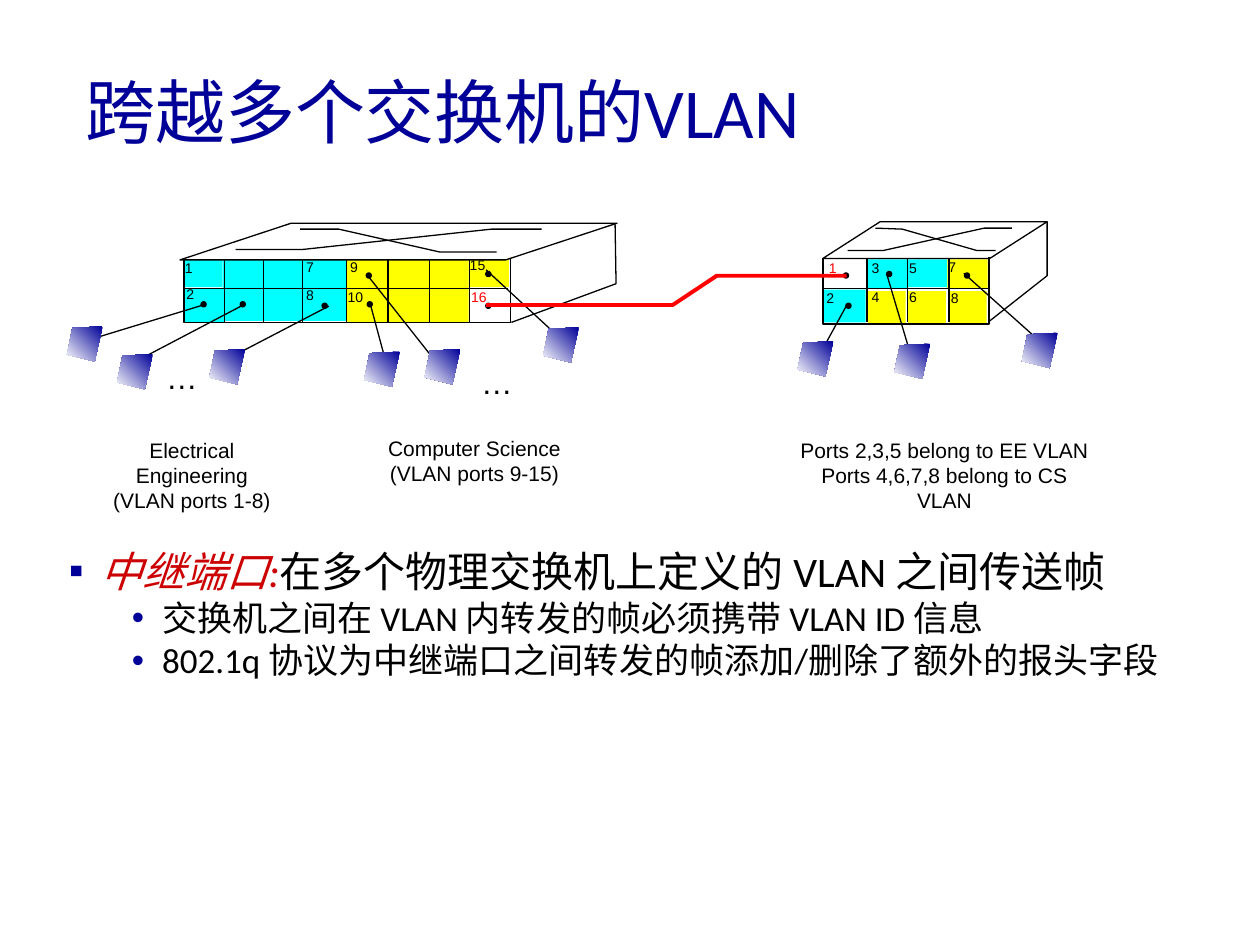
from lxml import etree
from pptx import Presentation
from pptx.dml.color import RGBColor
from pptx.enum.shapes import MSO_CONNECTOR, MSO_SHAPE
from pptx.enum.text import MSO_ANCHOR, MSO_AUTO_SIZE, PP_ALIGN
from pptx.oxml.ns import qn
from pptx.util import Cm, Pt

RECTANGLE = MSO_SHAPE.RECTANGLE
OVAL = MSO_SHAPE.OVAL
PARALLELOGRAM = MSO_SHAPE.PARALLELOGRAM
STRAIGHT = MSO_CONNECTOR.STRAIGHT
MIDDLE = MSO_ANCHOR.MIDDLE
FIT_SHAPE = MSO_AUTO_SIZE.SHAPE_TO_FIT_TEXT
LEFT = PP_ALIGN.LEFT
CENTER = PP_ALIGN.CENTER

color = RGBColor.from_string
BLACK, WHITE, RED, NAVY = "000000", "FFFFFF", "FF0000", "000099"
CYAN, YELLOW = "00FFFF", "FFFF00"

presentation = Presentation()
presentation.slide_width = Cm(25.4)
presentation.slide_height = Cm(19.05)
slide = presentation.slides.add_slide(presentation.slide_layouts[6])
shapes = slide.shapes


def draw_path(points, line_color=BLACK, width=0.75):
    points = [(Cm(x), Cm(y)) for x, y in points]
    if len(points) == 2:
        shape = shapes.add_connector(STRAIGHT, *points[0], *points[1])
        etree.SubElement(shape.line._get_or_add_ln().getparent(), qn("a:effectLst"))
    else:
        builder = shapes.build_freeform(*points[0])
        builder.add_line_segments(points[1:], close=False)
        shape = builder.convert_to_shape()
        shape.shadow.inherit = False
        shape.fill.background()
    shape.line.color.rgb = color(line_color)
    shape.line.width = Pt(width)


def add_label(lines, left, top, width, height, size, font_color=BLACK,
              font_name="Arial", alignment=LEFT, wrap=False):
    shape = shapes.add_textbox(Cm(left), Cm(top), Cm(width), Cm(height))
    frame = shape.text_frame
    frame.text = lines
    frame.word_wrap = wrap
    if not wrap:
        frame.auto_size = FIT_SHAPE
    for paragraph in frame.paragraphs:
        paragraph.alignment = alignment
        paragraph.font.name = font_name
        paragraph.font.size = Pt(size)
        paragraph.font.color.rgb = color(font_color)
    return frame


title = add_label("跨越多个交换机的VLAN", 1.47, 0.64, 21.59, 3.18, 40, NAVY, "Calibri", wrap=True)
title.vertical_anchor = MIDDLE

port_blocks = [
    (3.73, 5.23, 0.76, 0.56, CYAN), (3.71, 5.82, 0.81, 0.69, CYAN),
    (4.5, 5.23, 2.49, 1.24, CYAN), (6.99, 5.23, 2.46, 1.27, YELLOW),
    (9.45, 5.21, 0.81, 0.58, YELLOW),
    (17.5, 5.23, 0.79, 0.58, CYAN), (18.31, 5.23, 0.79, 0.56, CYAN),
    (19.1, 5.23, 0.81, 0.58, YELLOW), (16.59, 5.84, 0.86, 0.66, CYAN),
    (17.5, 5.87, 0.76, 0.66, YELLOW), (18.31, 5.87, 0.76, 0.66, YELLOW),
    (19.13, 5.87, 0.76, 0.66, YELLOW),
]
for left, top, width, height, fill_color in port_blocks:
    shape = shapes.add_shape(RECTANGLE, Cm(left), Cm(top), Cm(width), Cm(height))
    shape.shadow.inherit = False
    shape.fill.solid()
    shape.fill.fore_color.rgb = color(fill_color)
    shape.line.fill.background()

front = shapes.add_shape(RECTANGLE, Cm(3.71), Cm(5.21), Cm(6.58), Cm(1.3))
front.shadow.inherit = False
front.fill.background()
front.line.color.rgb = color(BLACK)
front.line.width = Pt(0.75)

switch_tops = [(3.63, 4.5, 8.81, 0.74, 3.03), (16.59, 4.47, 4.52, 0.74, 1.56)]
for left, top, width, height, slant in switch_tops:
    shape = shapes.add_shape(PARALLELOGRAM, Cm(left), Cm(top), Cm(width), Cm(height))
    shape.adjustments[0] = slant
    shape.shadow.inherit = False
    shape.fill.solid()
    shape.fill.fore_color.rgb = color(WHITE)
    shape.line.color.rgb = color(BLACK)
    shape.line.width = Pt(0.75)

switch_outlines = [
    [(10.31, 6.5), (12.42, 5.72), (12.4, 4.5)],
    [(4.75, 5.03), (6.1, 5.03), (9.91, 4.62), (10.92, 4.62)],
    [(6.05, 4.62), (6.83, 4.62), (8.86, 5.08), (10.01, 5.08)],
    [(17.09, 5.05), (17.81, 5.05), (19.84, 4.6), (20.4, 4.6)],
    [(17.65, 4.6), (18.19, 4.62), (19.69, 5.05), (20.07, 5.05)],
    [(21.11, 4.47), (21.11, 5.56), (19.94, 6.48)],
    [(16.59, 5.21), (16.59, 6.53), (19.94, 6.53), (19.94, 5.18)],
    [(3.71, 5.82), (10.24, 5.82)],
    [(16.59, 5.82), (19.96, 5.82)],
]
port_dividers = [
    [(x, 5.23), (x, 6.5)]
    for x in (3.71, 4.52, 5.31, 6.1, 6.99, 7.82, 8.66, 9.47, 17.48, 18.29, 19.13)
]
computer_links = [
    [(4.09, 6.15), (1.6, 6.91)], [(4.9, 6.15), (2.67, 7.32)],
    [(6.63, 6.17), (4.67, 7.19)], [(7.47, 6.15), (7.75, 7.19)],
    [(7.44, 5.59), (8.76, 7.26)], [(9.8, 5.44), (11.25, 6.78)],
    [(17.07, 6.15), (16.61, 6.99)], [(17.88, 5.54), (18.39, 7.26)],
    [(19.43, 5.51), (20.85, 6.78)],
]
for points in switch_outlines + port_dividers + computer_links:
    draw_path(points)

port_dots = [
    (4.04, 6.07), (4.83, 6.07), (6.48, 6.1), (7.39, 6.07), (7.37, 5.49), (9.78, 5.46),
    (9.78, 6.1), (16.99, 5.49), (17.04, 6.1), (17.86, 5.46), (19.43, 5.49),
]
for left, top in port_dots:
    shape = shapes.add_shape(OVAL, Cm(left), Cm(top), Cm(0.13), Cm(0.13))
    shape.shadow.inherit = False
    shape.fill.solid()
    shape.fill.fore_color.rgb = color(BLACK)
    shape.line.fill.background()

port_numbers = [
    ("1", 3.48, 5.11, BLACK), ("2", 3.51, 5.64, BLACK), ("7", 5.92, 5.08, BLACK),
    ("8", 5.92, 5.66, BLACK), ("9", 6.81, 5.08, BLACK), ("10", 6.76, 5.69, BLACK),
    ("15", 9.22, 5.05, BLACK), ("16", 9.25, 5.69, RED),
    ("1", 16.46, 5.11, RED), ("2", 16.41, 5.72, BLACK), ("3", 17.32, 5.11, BLACK),
    ("4", 17.32, 5.69, BLACK), ("5", 18.08, 5.11, BLACK), ("6", 18.08, 5.69, BLACK),
    ("7", 18.87, 5.08, BLACK), ("8", 18.92, 5.72, BLACK),
]
for number, left, top, font_color in port_numbers:
    add_label(number, left, top, 0.5 + 0.16 * len(number), 0.58, 8, font_color)

for left, top in [(3.1, 7.09), (9.45, 7.19)]:
    add_label("…", left, top, 1.14, 1.02, 18)

add_label("Electrical Engineering\n(VLAN ports 1-8)", 1.71, 8.69, 4.32, 1.27, 12,
          alignment=CENTER, wrap=True)
add_label("Computer Science\n(VLAN ports 9-15)", 7.57, 8.66, 3.99, 1.27, 12, alignment=CENTER)
add_label("Ports 2,3,5 belong to EE VLAN\nPorts 4,6,7,8 belong to CS VLAN",
          15.7, 8.69, 6.68, 1.27, 12, alignment=CENTER)

draw_path([(9.8, 6.15), (13.56, 6.15), (14.45, 5.56), (17.07, 5.56)], RED, 2.25)

computers = [
    (1.35, 6.58), (2.36, 7.14), (4.22, 7.04), (7.34, 7.09), (8.56, 7.04),
    (10.95, 6.6), (16.08, 6.88), (18.03, 6.93), (20.6, 6.71),
]
for left, top in computers:
    corners = [(Cm(left + x), Cm(top + y))
               for x, y in [(0.72, 0), (0.11, 0.03), (0, 0.57), (0.56, 0.71)]]
    builder = shapes.build_freeform(*corners[0])
    builder.add_line_segments(corners[1:], close=True)
    shape = builder.convert_to_shape()
    shape.shadow.inherit = False
    shape.line.fill.background()
    shape.fill.gradient()
    shape.fill.gradient_angle = 225
    for stop, stop_color in zip(shape.fill.gradient_stops, (NAVY, WHITE)):
        stop.color.rgb = color(stop_color)

body = shapes.add_textbox(Cm(1.14), Cm(11.02), Cm(23.04), Cm(7.47)).text_frame
body.word_wrap = True
body_items = [
    (0, "▪", 0.64, 0.64, 24, 0, [("中继端口:", "CC0000"), ("在多个物理交换机上定义的 VLAN 之间传送帧", BLACK)]),
    (1, "•", 1.88, 0.61, 20, 4, [("交换机之间在 VLAN 内转发的帧必须携带 VLAN ID 信息", BLACK)]),
    (1, "•", 1.88, 0.61, 20, 4, [("802.1q 协议为中继端口之间转发的帧添加/删除了额外的报头字段", BLACK)]),
]
for index, (level, bullet, margin, hanging, size, space, runs) in enumerate(body_items):
    paragraph = body.add_paragraph() if index else body.paragraphs[0]
    paragraph.level = level
    properties = paragraph._p.get_or_add_pPr()
    properties.set("marL", str(Cm(margin)))
    properties.set("indent", str(-Cm(hanging)))
    bullet_color = etree.SubElement(properties, qn("a:buClr"))
    etree.SubElement(bullet_color, qn("a:srgbClr"), val=NAVY)
    etree.SubElement(properties, qn("a:buFont"), typeface="Arial")
    etree.SubElement(properties, qn("a:buChar"), char=bullet)
    paragraph.line_spacing = 0.85
    paragraph.space_before = Pt(space)
    paragraph.font.name = "Calibri"
    paragraph.font.size = Pt(size)
    for text, run_color in runs:
        run = paragraph.add_run()
        run.text = text
        run.font.color.rgb = color(run_color)
        run.font.italic = run_color != BLACK

presentation.save("out.pptx")
